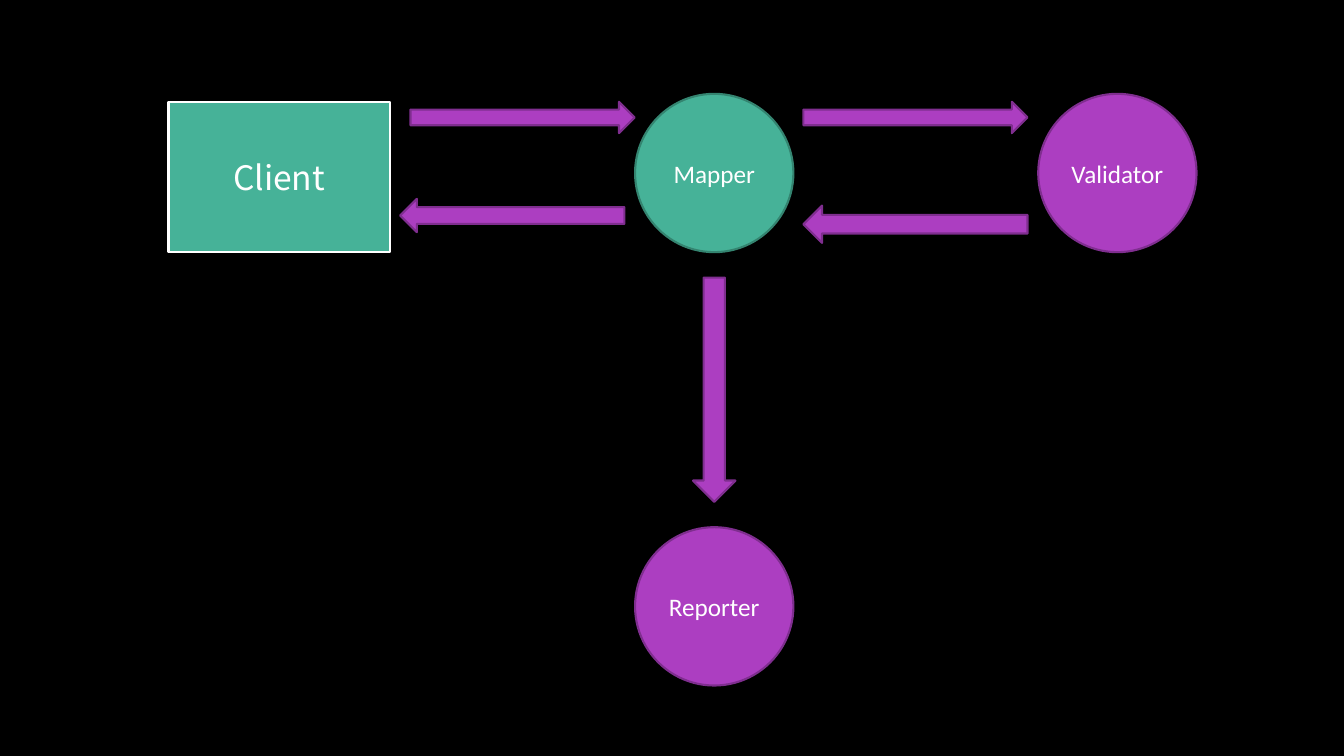
from pptx import Presentation
from pptx.dml.color import RGBColor
from pptx.enum.shapes import MSO_SHAPE
from pptx.enum.text import MSO_ANCHOR, PP_ALIGN
from pptx.util import Cm, Pt

# Content: lengths in cm
GREEN, DARK_GREEN = "46B298", "348470"
PURPLE, DARK_PURPLE = "AC3EC1", "7F2E8F"
WHITE, BLACK = "FFFFFF", "000000"

DIAMETER = 3.99
MAPPER_X, VALIDATOR_X = 18, 28.16
TOP_Y, REPORTER_Y = 4.36, 15.28

client = dict(label="Client", left=4.24, top=2.57, width=5.59, height=3.78)

# label, centre x, centre y, fill, outline
services = [
    ("Reporter", MAPPER_X, REPORTER_Y, PURPLE, DARK_PURPLE),
    ("Mapper", MAPPER_X, TOP_Y, GREEN, DARK_GREEN),
    ("Validator", VALIDATOR_X, TOP_Y, PURPLE, DARK_PURPLE),
]

ARROW_LENGTH = 5.65
# centre x, centre y, thickness, rotation
messages = [
    (13.17, 2.96, 0.79, 0),                              # Client to Mapper
    (12.91, 5.43, 0.84, 180),                            # Mapper to Client
    (23.07, 2.96, 0.79, 0),                              # Mapper to Validator
    (23.07, 5.65, 0.94, 180),                            # Validator to Mapper
    (MAPPER_X, (TOP_Y + REPORTER_Y) / 2, 1.07, 90),      # Mapper to Reporter
]


def color(hex_code):
    return RGBColor.from_string(hex_code)


def add_part(kind, left, top, width, height, fill, outline, weight=1.5):
    part = slide.shapes.add_shape(kind, Cm(left), Cm(top), Cm(width), Cm(height))
    part.shadow.inherit = False
    part.fill.solid()
    part.fill.fore_color.rgb = color(fill)
    part.line.color.rgb = color(outline)
    part.line.width = Pt(weight)
    return part


def write(part, text, font="Calibri", size=18, ink=WHITE):
    frame = part.text_frame
    frame.vertical_anchor = MSO_ANCHOR.MIDDLE
    paragraph = frame.paragraphs[0]
    paragraph.alignment = PP_ALIGN.CENTER
    run = paragraph.add_run()
    run.text = text
    run.font.name = font
    run.font.size = Pt(size)
    run.font.color.rgb = color(ink)


# Slide
deck = Presentation()
deck.slide_width, deck.slide_height = Cm(33.87), Cm(19.05)
slide = deck.slides.add_slide(deck.slide_layouts[6])
slide.background.fill.solid()
slide.background.fill.fore_color.rgb = color(BLACK)

# Client
client_box = add_part(MSO_SHAPE.RECTANGLE, client["left"], client["top"],
                      client["width"], client["height"], GREEN, WHITE, weight=2)
write(client_box, client["label"], font="Noto Sans CJK SC", size=24)

# Services
for label, x, y, fill, outline in services:
    circle = add_part(MSO_SHAPE.OVAL, x - DIAMETER / 2, y - DIAMETER / 2,
                      DIAMETER, DIAMETER, fill, outline)
    write(circle, label)

# Messages between them
for x, y, thickness, rotation in messages:
    arrow = add_part(MSO_SHAPE.RIGHT_ARROW, x - ARROW_LENGTH / 2, y - thickness / 2,
                     ARROW_LENGTH, thickness, PURPLE, DARK_PURPLE)
    arrow.rotation = rotation

deck.save("out.pptx")
